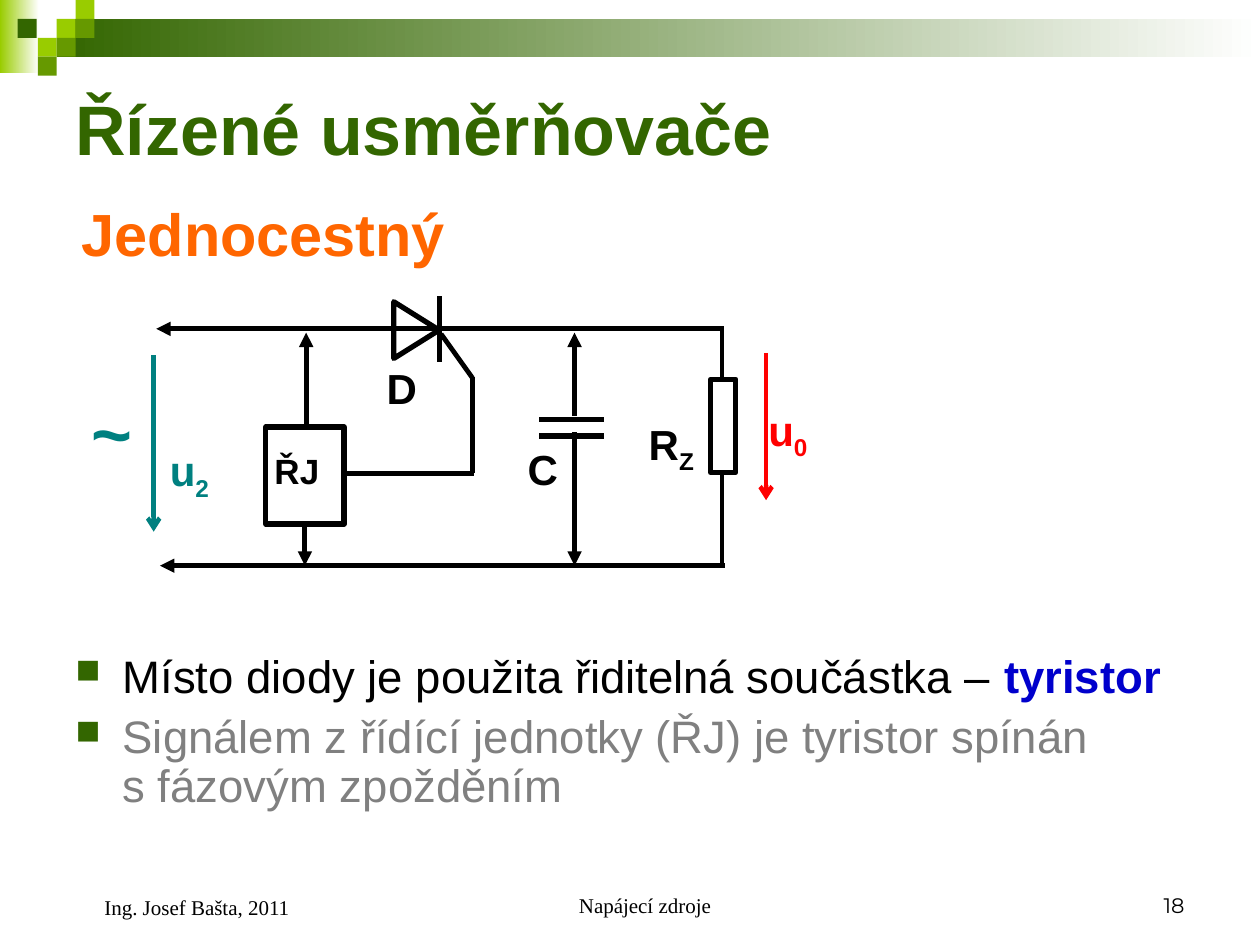
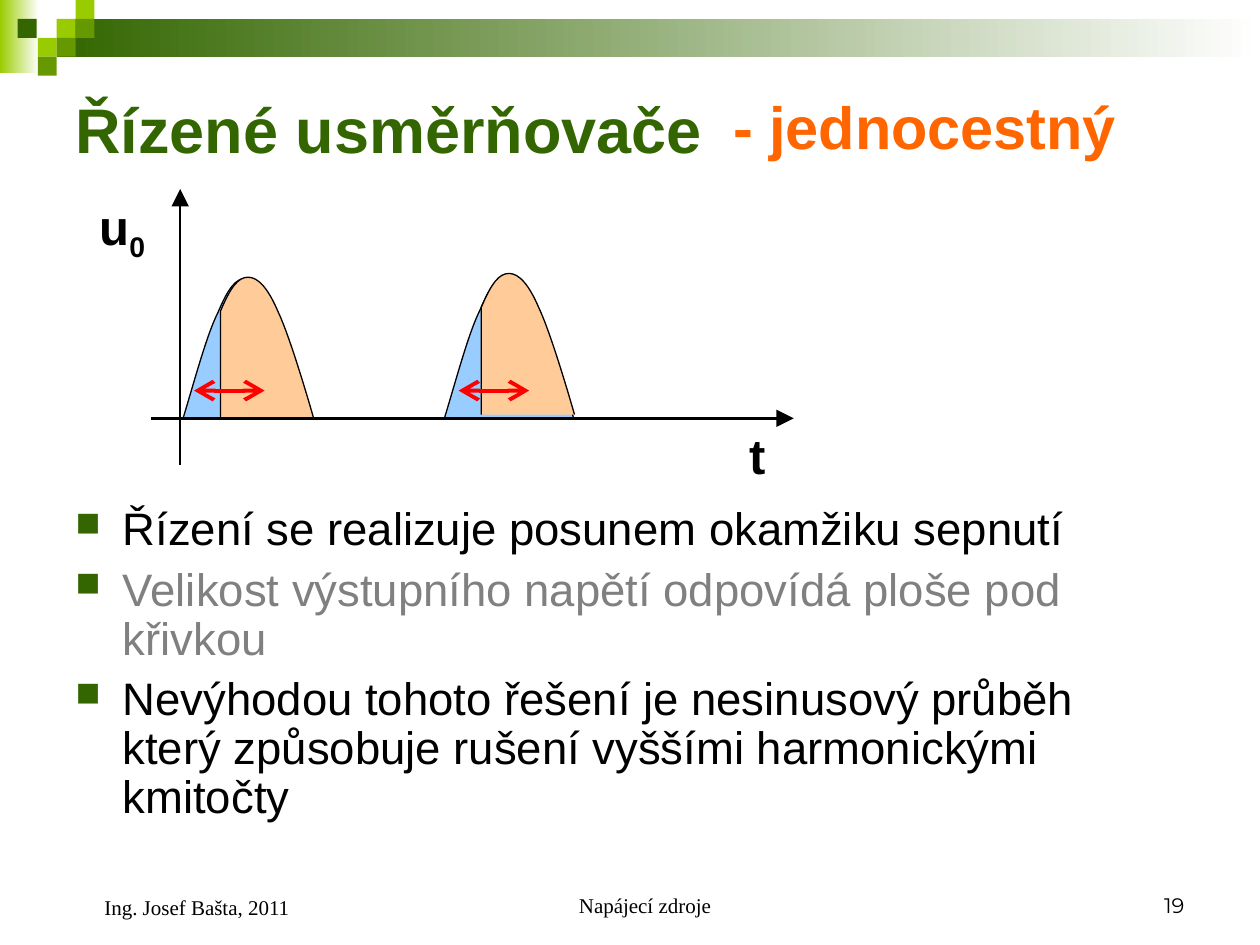
"""Build two slides on controlled single-way rectifiers."""
from lxml import etree
from pptx import Presentation
from pptx.dml.color import RGBColor
from pptx.enum.shapes import MSO_CONNECTOR, MSO_SHAPE
from pptx.enum.text import MSO_ANCHOR, PP_ALIGN
from pptx.oxml.ns import qn
from pptx.util import Inches, Pt

RECT, TRIANGLE = MSO_SHAPE.RECTANGLE, MSO_SHAPE.ISOSCELES_TRIANGLE
OVAL = MSO_SHAPE.OVAL
STRAIGHT = MSO_CONNECTOR.STRAIGHT
TOP, MIDDLE, BOTTOM = MSO_ANCHOR.TOP, MSO_ANCHOR.MIDDLE, MSO_ANCHOR.BOTTOM
LEFT, CENTER, RIGHT = PP_ALIGN.LEFT, PP_ALIGN.CENTER, PP_ALIGN.RIGHT

WHITE = RGBColor(0xFF, 0xFF, 0xFF)
BLACK = RGBColor(0x00, 0x00, 0x00)
GRAY = RGBColor(0x80, 0x80, 0x80)
LIME = RGBColor(0x99, 0xCC, 0x00)
GREEN = RGBColor(0x66, 0x99, 0x00)
DARK_GREEN = RGBColor(0x33, 0x66, 0x00)
ORANGE = RGBColor(0xFF, 0x66, 0x00)
BLUE = RGBColor(0x00, 0x00, 0xCC)
TEAL = RGBColor(0x00, 0x80, 0x80)
RED = RGBColor(0xFF, 0x00, 0x00)
SKY = RGBColor(0x99, 0xCC, 0xFF)
PEACH = RGBColor(0xFF, 0xCC, 0x99)


def add_text(s, box, text, size, color, sub="", font="Arial", bold=True,
             anchor=TOP, align=LEFT, indent=0):
    tf = s.shapes.add_textbox(*map(Inches, box)).text_frame
    tf.word_wrap = True
    tf.vertical_anchor = anchor
    p = tf.paragraphs[0]
    p.text = text
    p.alignment = align
    if indent:
        p._p.get_or_add_pPr().set("marL", str(Inches(indent)))
    if sub:
        r = p.add_run()
        r.text = sub
        r.font._element.set("baseline", "-25000")
    for r in p.runs:
        r.font.size, r.font.name, r.font.bold = Pt(size), font, bold
        r.font.color.rgb = color


def add_line(s, points, width, color=BLACK, head=None, tail=None, size="med"):
    cx = s.shapes.add_connector(STRAIGHT, *map(Inches, points))
    cx.line.color.rgb = color
    cx.line.width = Pt(width)
    ln = cx.line._get_or_add_ln()
    for tag, kind in (("a:headEnd", head), ("a:tailEnd", tail)):
        if kind:
            end = etree.SubElement(ln, qn(tag))
            end.set("type", kind)
            end.set("w", size)
            end.set("len", size)
    etree.SubElement(cx._element.spPr, qn("a:effectLst"))


prs = Presentation()
prs.slide_width, prs.slide_height = Inches(10), Inches(7.5)

bands = [((0, 0, 0.31, 0.58), LIME), ((0.45, 0.15, 9.55, 0.3), DARK_GREEN)]
squares = [
    (0.45, 0.15, LIME), (0.6, 0, LIME), (0.6, 0.15, GREEN), (0.3, 0.3, LIME),
    (0.14, 0.15, DARK_GREEN), (0.45, 0.3, GREEN), (0.3, 0.45, GREEN),
]
pages = [
    (18, 40, "Jednocestný", (0.55, 1.47), (5.14, 1.48), [
        [("Místo diody je použita řiditelná součástka – ", BLACK, False),
         ("tyristor", BLUE, True)],
        [("Signálem z řídící jednotky (ŘJ) je tyristor spínán ", GRAY, False),
         ("\n", GRAY, False),
         ("s fázovým zpožděním", GRAY, False)],
    ]),
    (19, 36, "- jednocestný", (5.72, 0.62), (3.97, 2.65), [
        [("Řízení se realizuje posunem okamžiku sepnutí", BLACK, False)],
        [("Velikost výstupního napětí odpovídá ploše pod křivkou", GRAY, False)],
        [("Nevýhodou tohoto řešení je nesinusový průběh který způsobuje "
          "rušení vyššími harmonickými kmitočty", BLACK, False)],
    ]),
]

for number, title_size, subtitle, subtitle_pos, body_span, bullets in pages:
    s = prs.slides.add_slide(prs.slide_layouts[6])

    for box, color in bands:
        sp = s.shapes.add_shape(RECT, *map(Inches, box))
        sp.shadow.inherit = False
        sp.line.fill.background()
        sp.fill.gradient()
        sp.fill.gradient_angle = 180
        for stop, stop_color in zip(sp.fill.gradient_stops, (WHITE, color)):
            stop.color.rgb = stop_color
    for x, y, color in squares:
        sp = s.shapes.add_shape(RECT, *map(Inches, (x, y, 0.15, 0.15)))
        sp.shadow.inherit = False
        sp.line.fill.background()
        sp.fill.solid()
        sp.fill.fore_color.rgb = color

    add_text(s, (0.5, 0.5, 9, 1.03), "Řízené usměrňovače", title_size,
             DARK_GREEN, anchor=MIDDLE)
    add_text(s, (*subtitle_pos, 3.25, 0.75), subtitle, 34, ORANGE, anchor=MIDDLE)

    top, height = body_span
    tf = s.shapes.add_textbox(*map(Inches, (0.5, top, 9, height))).text_frame
    tf.word_wrap = True
    for i, parts in enumerate(bullets):
        p = tf.add_paragraph() if i else tf.paragraphs[0]
        p.line_spacing = 0.9
        if i:
            p.space_before = Pt(6.5)
        pPr = p._p.get_or_add_pPr()
        pPr.set("marL", str(Inches(3 / 8)))
        pPr.set("indent", str(-Inches(3 / 8)))
        bu_color = etree.SubElement(pPr, qn("a:buClr"))
        etree.SubElement(bu_color, qn("a:srgbClr")).set("val", str(DARK_GREEN))
        etree.SubElement(pPr, qn("a:buSzPct")).set("val", "75000")
        etree.SubElement(pPr, qn("a:buFont")).set("typeface", "OpenSymbol")
        etree.SubElement(pPr, qn("a:buChar")).set("char", "■")
        for text, color, bold in parts:
            if text == "\n":
                p.add_line_break()
                continue
            r = p.add_run()
            r.text = text
            r.font.size, r.font.name, r.font.bold = Pt(26), "Arial", bold
            r.font.color.rgb = color

    footers = [
        ((3.42, 6.83, 3.17, 0.5), "Napájecí zdroje", "Times New Roman", CENTER, 0.23),
        ((7.17, 6.83, 2.33, 0.5), str(number), "Montserrat", RIGHT, 0),
        ((0.5, 6.83, 2.33, 0.52), "Ing. Josef Bašta, 2011", "Times New Roman", LEFT, 0.23),
    ]
    for box, text, font, align, indent in footers:
        add_text(s, box, text, 12, BLACK, font=font, bold=False, anchor=BOTTOM,
                 align=align, indent=indent)

circuit, waveform = prs.slides

for box in ((1.21, 4.16, 0.09, 0.09), (1.19, 2.56, 0.09, 0.1)):
    sp = circuit.shapes.add_shape(OVAL, *map(Inches, box))
    sp.shadow.inherit = False
    sp.fill.solid()
    sp.fill.fore_color.rgb = WHITE
    sp.line.color.rgb = WHITE
    sp.line.width = Pt(0.75)

components = [
    (TRIANGLE, (3.08, 2.44, 0.45, 0.36), 90),
    (RECT, (5.64, 3.01, 0.2, 0.74), 0),
    (RECT, (2.11, 3.39, 0.62, 0.77), 0),
]
for kind, box, rotation in components:
    sp = circuit.shapes.add_shape(kind, *map(Inches, box))
    sp.shadow.inherit = False
    sp.rotation = rotation
    sp.fill.background()
    sp.line.color.rgb = BLACK
    sp.line.width = Pt(3)

plates = [(3.49, 2.35, 3.49, 2.87), (4.79, 3.46, 4.28, 3.46), (4.79, 3.33, 4.28, 3.33)]
for points in plates:
    add_line(circuit, points, 3)

wires = [
    ((5.73, 2.59, 5.73, 3), None, None),
    ((5.73, 3.77, 5.73, 4.49), None, None),
    ((3.75, 2.99, 3.75, 3.75), None, None),
    ((3.5, 2.65, 3.75, 3), None, None),
    ((2.74, 3.76, 3.76, 3.76), None, None),
    ((1.27, 4.49, 5.75, 4.49), "triangle", None),
    ((1.24, 2.61, 5.74, 2.61), "triangle", None),
    ((4.56, 2.64, 4.56, 3.3), "triangle", None),
    ((2.43, 2.64, 2.43, 3.37), "triangle", None),
    ((4.56, 3.43, 4.56, 4.49), None, "triangle"),
    ((2.42, 4.15, 2.42, 4.49), None, "triangle"),
]
for points, head, tail in wires:
    add_line(circuit, points, 2.75, BLACK, head, tail)

add_line(circuit, (1.22, 2.82, 1.22, 4.22), 2.5, TEAL, tail="arrow")
add_line(circuit, (6.08, 2.8, 6.08, 3.97), 2.5, RED, tail="arrow")

labels = [
    ((2.97, 2.83, 0.43, 0.5), "D", "", 24, BLACK),
    ((5.05, 3.27, 0.69, 0.56), "R", "Z", 24, BLACK),
    ((1.25, 3.48, 0.86, 0.56), "u", "2", 24, TEAL),
    ((6, 3.16, 0.73, 0.56), "u", "0", 24, RED),
    ((0.63, 3.04, 0.57, 0.77), "~", "", 40, TEAL),
    ((4.09, 3.47, 0.43, 0.5), "C", "", 24, BLACK),
    ((2.08, 3.52, 0.62, 0.44), "ŘJ", "", 20, BLACK),
]
for box, text, sub, size, color in labels:
    add_text(circuit, box, text, size, color, sub)

half_wave = [
    (1.45, 3.33),
    (1.55, 3), (1.64, 2.66), (1.73, 2.48),
    (1.81, 2.29), (1.87, 2.21), (1.95, 2.21),
    (2.03, 2.21), (2.11, 2.3), (2.19, 2.49),
    (2.28, 2.68), (2.43, 3.19), (2.47, 3.33),
]
conducting_part = [
    (1.75, 3.32), (1.75, 2.47),
    (1.83, 2.28), (1.89, 2.2), (1.97, 2.2),
    (2.05, 2.2), (2.13, 2.29), (2.21, 2.48),
    (2.3, 2.67), (2.45, 3.18), (2.49, 3.32),
]
waves = [
    (half_wave, 0, 0, SKY), (half_wave, 2.08, -0.02, SKY),
    (conducting_part, 0, 0, PEACH), (conducting_part, 2.07, -0.03, PEACH),
]
for outline, dx, dy, color in waves:
    points = [(Inches(x + dx), Inches(y + dy)) for x, y in outline]
    builder = waveform.shapes.build_freeform(*points[0])
    builder.add_line_segments(points[1:], close=False)
    sp = builder.convert_to_shape()
    sp.shadow.inherit = False
    sp.fill.solid()
    sp.fill.fore_color.rgb = color
    sp.line.color.rgb = BLACK
    sp.line.width = Pt(0.75)
    geometry = next(sp._element.iter(qn("a:path")))
    segments = geometry.findall(qn("a:lnTo"))
    for i in range(len(segments) % 3, len(segments), 3):
        curve = etree.SubElement(geometry, qn("a:cubicBezTo"))
        for segment in segments[i:i + 3]:
            curve.append(segment[0])
            geometry.remove(segment)

for points in ((1.2, 3.32, 6.3, 3.32), (1.43, 3.69, 1.43, 1.5)):
    add_line(waveform, points, 1.5, tail="triangle", size="lg")
for x in (1.54, 3.64):
    add_line(waveform, (x, 3.1, x + 0.56, 3.1), 2.25, RED, "arrow", "arrow", "lg")
add_text(waveform, (0.69, 1.51, 0.85, 0.63), "u", 28, BLACK, "0")
add_text(waveform, (5.85, 3.33, 0.57, 0.57), "t", 28, BLACK)

prs.save("out.pptx")
